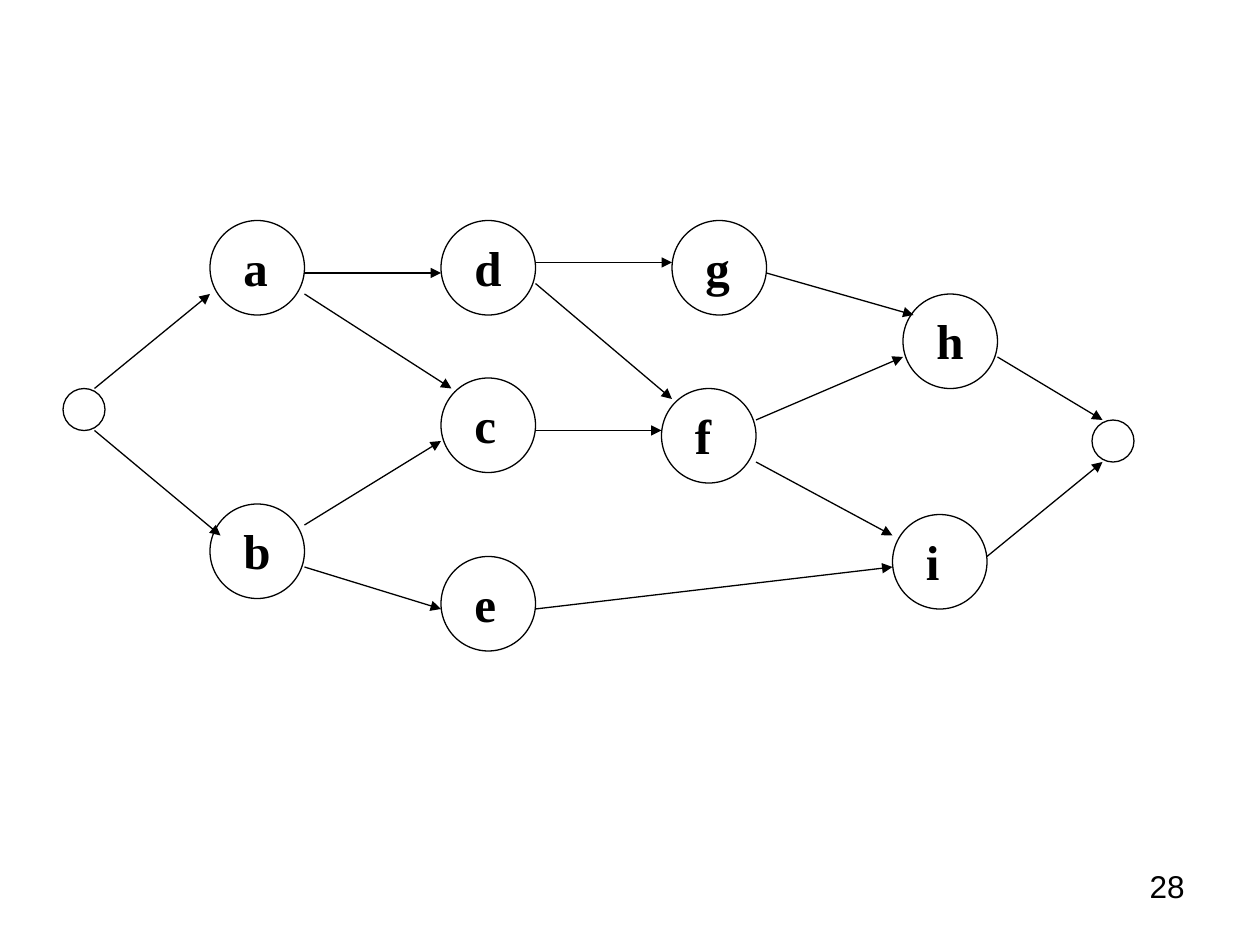
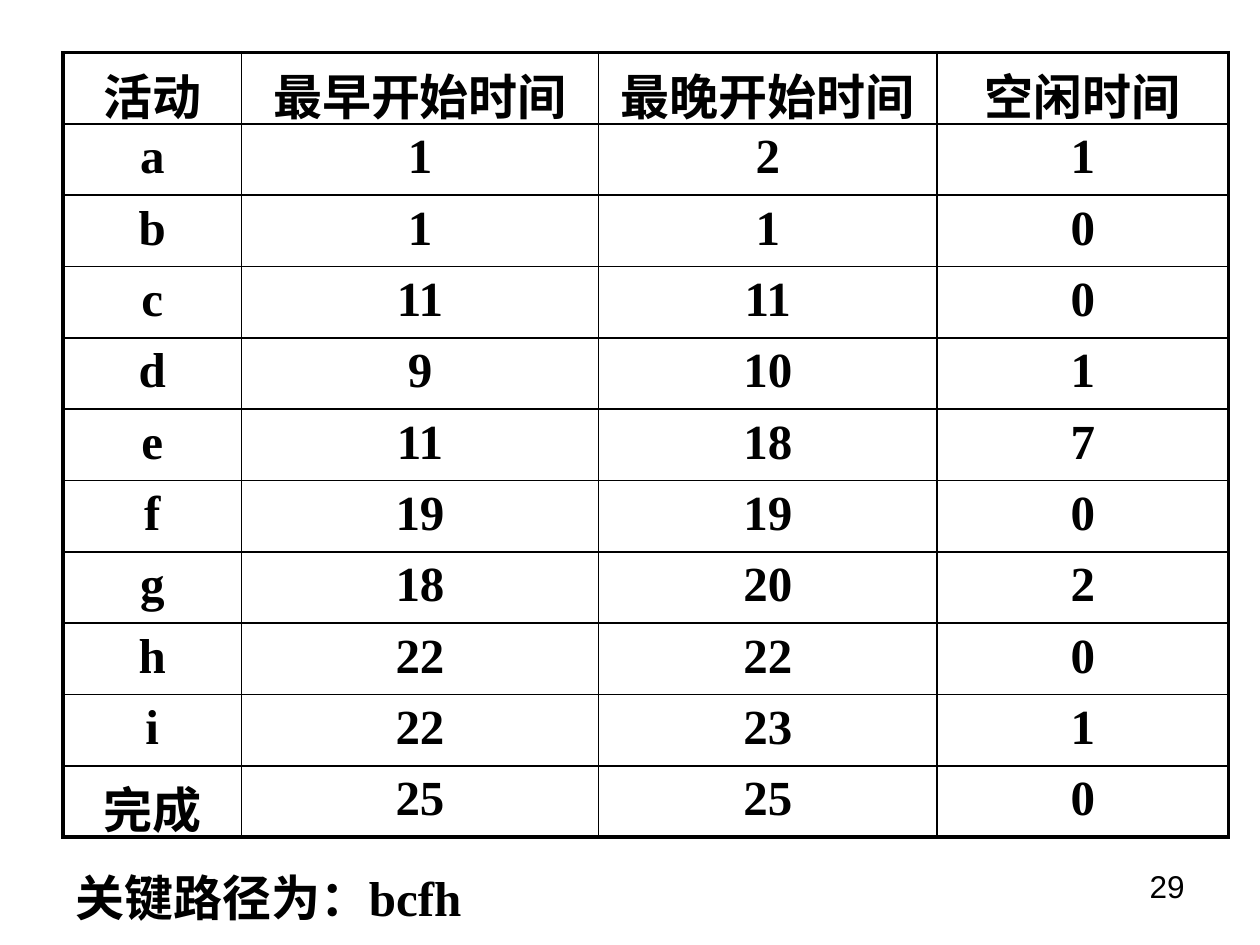
from lxml import etree
from pptx import Presentation
from pptx.dml.color import RGBColor
from pptx.enum.shapes import MSO_CONNECTOR, MSO_SHAPE
from pptx.enum.text import PP_ALIGN
from pptx.oxml.ns import qn
from pptx.util import Inches, Pt

STRAIGHT, OVAL = MSO_CONNECTOR.STRAIGHT, MSO_SHAPE.OVAL
LEFT, CENTER, RIGHT = PP_ALIGN.LEFT, PP_ALIGN.CENTER, PP_ALIGN.RIGHT
BLACK = RGBColor(0, 0, 0)
BODY_FONT, NUMBER_FONT = "Times New Roman", "Arial"

# Both slides sit on a grid of 12 units to the inch
UNIT = Inches(1) // 12
FOOT_TOP = 82 * UNIT

# Network content, in grid units
ACTIVITY_SIZE, END_SIZE = 9, 4
ENDS = {"start": (6, 37), "finish": (104, 40)}
ACTIVITIES = {
    "a": (20, 21), "b": (20, 48),
    "d": (42, 21), "c": (42, 36), "e": (42, 53),
    "g": (64, 21), "f": (63, 37),
    "h": (86, 28), "i": (85, 49),
}
# Each arrow: source, target, then its offsets inside the source and target
ARROWS = [
    ("start", "a", (3, 0), (0, 7)),
    ("start", "b", (3, 4), (1, 3)),
    ("a", "c", (9, 7), (1, 1)),
    ("b", "c", (9, 2), (0, 6)),
    ("a", "d", (9, 5), (0, 5)),
    ("b", "e", (9, 6), (0, 5)),
    ("d", "g", (9, 4), (0, 4)),
    ("d", "f", (9, 6), (1, 1)),
    ("c", "f", (9, 5), (0, 4)),
    ("g", "h", (9, 5), (1, 2)),
    ("f", "h", (9, 3), (0, 6)),
    ("e", "i", (9, 5), (0, 5)),
    ("f", "i", (9, 7), (0, 2)),
    ("h", "finish", (9, 6), (1, 0)),
    ("i", "finish", (9, 4), (1, 4)),
]

# Schedule content
SCHEDULE = [
    ("活动", "最早开始时间", "最晚开始时间", "空闲时间"),
    ("a", 1, 2, 1),
    ("b", 1, 1, 0),
    ("c", 11, 11, 0),
    ("d", 9, 10, 1),
    ("e", 11, 18, 7),
    ("f", 19, 19, 0),
    ("g", 18, 20, 2),
    ("h", 22, 22, 0),
    ("i", 22, 23, 1),
    ("完成", 25, 25, 0),
]
COLUMN_UNITS = (17, 34, 32.25, 27.75)
TABLE_HEIGHT = 6.23
CRITICAL_PATH = "关键路径为：bcfh"
THIN, THICK = Pt(1), Pt(2.25)


def write(text_frame, text, alignment=LEFT, space_percent=0,
          font_name=BODY_FONT, size=28, bold=True):
    text_frame.word_wrap = True
    paragraph = text_frame.paragraphs[0]
    paragraph.text = str(text)
    paragraph.alignment = alignment
    if space_percent:
        spacing = etree.SubElement(paragraph._p.get_or_add_pPr(), qn("a:spcBef"))
        etree.SubElement(spacing, qn("a:spcPct"), val=str(space_percent * 1000))
    font = paragraph.runs[0].font
    font.name, font.size, font.bold = font_name, Pt(size), bold
    font.color.rgb = BLACK


def add_page_number(slide, number):
    box = slide.shapes.add_textbox(86 * UNIT, FOOT_TOP, 28 * UNIT, Inches(0.52))
    write(box.text_frame, number, RIGHT, font_name=NUMBER_FONT, size=18, bold=False)


def add_circle(shapes, position, size):
    left, top = position
    circle = shapes.add_shape(OVAL, left * UNIT, top * UNIT, size * UNIT, size * UNIT)
    circle.shadow.inherit = False
    circle.fill.background()
    circle.line.color.rgb = BLACK
    circle.line.width = Pt(0.75)


def add_activity(slide, name, position):
    group = slide.shapes.add_group_shape()
    add_circle(group.shapes, position, ACTIVITY_SIZE)
    left, top = position
    label = group.shapes.add_textbox(
        (left + 2) * UNIT, (top + 1) * UNIT, 5 * UNIT, Inches(0.57))
    write(label.text_frame, name, space_percent=50)


def add_arrow(slide, begin, end):
    points = [value * UNIT for value in begin + end]
    connector = slide.shapes.add_connector(STRAIGHT, *points)
    connector.line.color.rgb = BLACK
    connector.line.width = Pt(0.75)
    etree.SubElement(connector.line._get_or_add_ln(), qn("a:tailEnd"), type="triangle")
    etree.SubElement(connector._element.spPr, qn("a:effectLst"))


def set_borders(cell, widths):
    properties = cell._tc.get_or_add_tcPr()
    for side, width in zip("LRTB", widths):
        line = etree.SubElement(properties, qn(f"a:ln{side}"), w=str(width))
        fill = etree.SubElement(line, qn("a:solidFill"))
        etree.SubElement(fill, qn("a:srgbClr"), val=str(BLACK))


def build_network(slide):
    for position in ENDS.values():
        add_circle(slide.shapes, position, END_SIZE)
    for name, position in ACTIVITIES.items():
        add_activity(slide, name, position)
    positions = ENDS | ACTIVITIES
    for source, target, exit_offset, entry_offset in ARROWS:
        begin = tuple(map(sum, zip(positions[source], exit_offset)))
        end = tuple(map(sum, zip(positions[target], entry_offset)))
        add_arrow(slide, begin, end)


def build_schedule(slide):
    row_count, column_count = len(SCHEDULE), len(COLUMN_UNITS)
    table = slide.shapes.add_table(
        row_count, column_count, 6 * UNIT, 5 * UNIT,
        int(sum(COLUMN_UNITS) * UNIT), Inches(TABLE_HEIGHT)).table
    table.first_row = table.horz_banding = False
    for column, units in zip(table.columns, COLUMN_UNITS):
        column.width = int(units * UNIT)
    for row, values in enumerate(SCHEDULE):
        for column, value in enumerate(values):
            cell = table.cell(row, column)
            write(cell.text_frame, value, CENTER, space_percent=20)
            # Chinese lines are taller: let them run into the bottom margin
            if not str(value).isascii():
                cell.margin_bottom = Inches(-0.05)
            # Thick outer frame, thin inner rules
            on_frame = (column == 0, column == column_count - 1,
                        row == 0, row == row_count - 1)
            set_borders(cell, [THICK if outer else THIN for outer in on_frame])
            cell.fill.background()
    caption = slide.shapes.add_textbox(6 * UNIT, FOOT_TOP, 104 * UNIT, Inches(0.57))
    write(caption.text_frame, CRITICAL_PATH, space_percent=50)


def main():
    presentation = Presentation()
    presentation.slide_width, presentation.slide_height = Inches(10), Inches(7.5)
    blank_layout = presentation.slide_layouts[6]
    for number, build in enumerate((build_network, build_schedule), start=28):
        slide = presentation.slides.add_slide(blank_layout)
        build(slide)
        add_page_number(slide, number)
    presentation.save("out.pptx")


if __name__ == "__main__":
    main()
